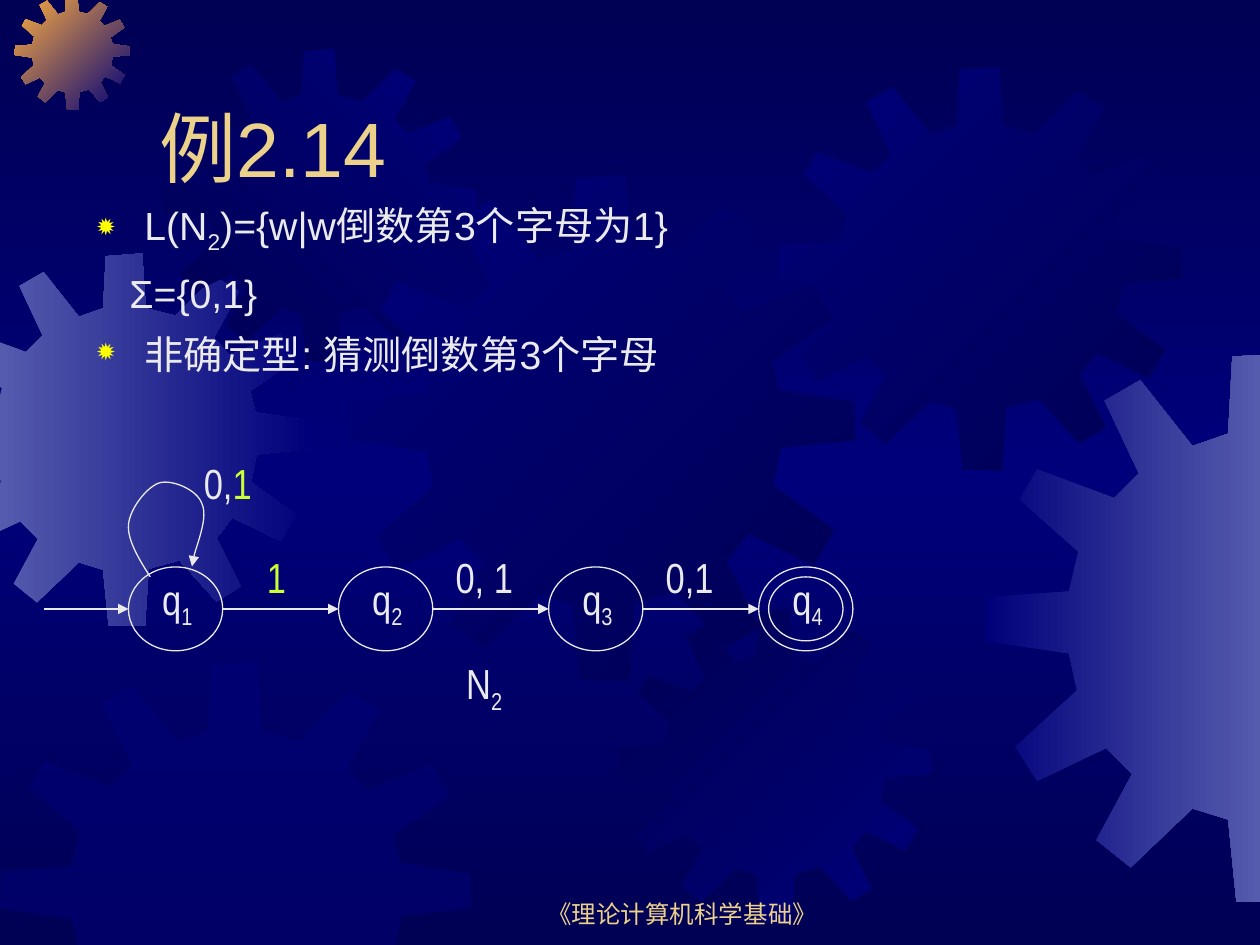
from copy import deepcopy
from dataclasses import dataclass

from lxml import etree
from pptx import Presentation
from pptx.dml.color import RGBColor
from pptx.enum.shapes import MSO_CONNECTOR, MSO_SHAPE
from pptx.enum.text import MSO_ANCHOR, PP_ALIGN
from pptx.oxml.ns import qn
from pptx.util import Cm, Pt

OVAL, STRAIGHT = MSO_SHAPE.OVAL, MSO_CONNECTOR.STRAIGHT
TOP, BOTTOM = MSO_ANCHOR.TOP, MSO_ANCHOR.BOTTOM
LEFT, CENTER = PP_ALIGN.LEFT, PP_ALIGN.CENTER


@dataclass(frozen=True)
class Theme:
    navy: str = "000054"
    blue: str = "00007A"
    haze: str = "555BAD"
    orange: str = "FCAB40"
    gold: str = "EBD189"
    text: str = "EAEAEA"
    lime: str = "CCFF33"
    bullet: str = "FFFF00"
    font: str = "Arial"
    narrow: str = "Arial Narrow"
    title_size: float = 44
    body_size: float = 22.4
    label_size: float = 24
    footer_size: float = 14
    line_width: float = 0.75


@dataclass(frozen=True)
class Box:
    """A region in centimetres."""
    x: float
    y: float
    w: float
    h: float

    def sub(self, x, y, w, h):
        return Box(self.x + x, self.y + y, w, h)

    def emu(self):
        return Cm(self.x), Cm(self.y), Cm(self.w), Cm(self.h)


T = Theme()
SLIDE_W, SLIDE_H = 25.4, 19.05
GEAR_UNITS = 401
GEAR = [
    (255, 67), (223, 59), (219, 0), (180, 3), (177, 59), (151, 68), (113, 20), (87, 35),
    (112, 88), (94, 106), (38, 85), (25, 107), (68, 145), (61, 174), (1, 178), (0, 210),
    (61, 219), (67, 246), (22, 287), (38, 312), (88, 288), (107, 307), (81, 355), (106, 375),
    (151, 332), (177, 340), (183, 400), (222, 401), (226, 339), (259, 330), (299, 374), (325, 358),
    (299, 306), (316, 284), (368, 309), (384, 281), (336, 246), (342, 216), (401, 210), (400, 180),
    (341, 171), (335, 148), (383, 114), (367, 87), (313, 109), (296, 91), (323, 41), (297, 25)]
# left, top, size, first colour, last colour, clockwise angle
GEARS = [
    (-1.24, 5.11, 7.52, T.haze, T.blue, 0),
    (0.3, -0.1, 2.31, T.orange, T.blue, 45),
    (3.3, 0.99, 6.3, T.navy, T.blue, 315),
    (7.04, 3.53, 10.2, T.blue, T.navy, 45),
    (0, 13.34, 9.5, T.blue, None, 0),
    (12.47, 12.29, 6.3, T.navy, T.blue, 45),
    (15.7, 1.35, 8.13, T.blue, T.navy, 45),
    (19.86, 7.11, 11.1, T.blue, T.haze, 0)]


def rgb(color):
    return RGBColor.from_string(color)


def set_gradient(fill, first, last, angle):
    fill.gradient()
    fill.gradient_angle = -angle % 360
    for stop, color in zip(fill.gradient_stops, (first, last)):
        stop.color.rgb = rgb(color)


def add_bullet(p):
    pPr = p._p.get_or_add_pPr()
    color = etree.SubElement(pPr, qn("a:buClr"))
    etree.SubElement(color, qn("a:srgbClr"), val=T.bullet)
    etree.SubElement(pPr, qn("a:buSzPct"), val="80000")
    etree.SubElement(pPr, qn("a:buChar"), char="✹")


def add_text(slide, box, runs, **fmt):
    """Add a text box with one paragraph of strings or (text, run format) pairs."""
    tf = slide.shapes.add_textbox(*box.emu()).text_frame
    tf.word_wrap = True
    tf.vertical_anchor = fmt.get("anchor", TOP)
    fill_paragraph(tf.paragraphs[0], runs, **fmt)
    return tf


def fill_paragraph(p, runs, size, color=T.text, font=T.font, align=LEFT, anchor=TOP):
    p.alignment = align
    for item in runs:
        text, own = (item, {}) if isinstance(item, str) else item
        r = p.add_run()
        r.text = text
        r.font.size, r.font.name = Pt(size), font
        r.font.color.rgb = rgb(own.get("color", color))
        if own.get("sub"):
            r.font._element.set("baseline", "-25000")


def clip(points, axis, limit, sign):
    """Keep the part of a polygon where sign * (coordinate - limit) >= 0."""
    kept = []
    for a, b in zip(points[-1:] + points[:-1], points):
        da, db = sign * (a[axis] - limit), sign * (b[axis] - limit)
        if (da >= 0) != (db >= 0):
            t = da / (da - db)
            kept.append(tuple(u + t * (v - u) for u, v in zip(a, b)))
        if db >= 0:
            kept.append(b)
    return kept


def add_outline(slide, points, close):
    pts = [(Cm(x), Cm(y)) for x, y in points]
    builder = slide.shapes.build_freeform(*pts[0])
    builder.add_line_segments(pts[1:], close=close)
    sp = builder.convert_to_shape()
    sp.shadow.inherit = False
    return sp


def add_gear(slide, area, left, top, size, first, last, angle):
    k = size / GEAR_UNITS
    points = [(area.x + left + x * k, area.y + top + y * k) for x, y in GEAR]
    for axis, low, high in ((0, area.x, area.x + area.w), (1, area.y, area.y + area.h)):
        points = clip(clip(points, axis, low, 1), axis, high, -1)
    sp = add_outline(slide, points, True)
    sp.line.fill.background()
    if last:
        set_gradient(sp.fill, first, last, angle)
    else:
        sp.fill.solid()
        sp.fill.fore_color.rgb = rgb(first)
        color = sp._element.spPr.find(".//" + qn("a:srgbClr"))
        etree.SubElement(color, qn("a:alpha"), val="50000")


def add_background(slide, area):
    fill = slide.background.fill
    set_gradient(fill, T.navy, T.navy, 90)
    stops = slide._element.find(".//" + qn("a:gsLst"))
    stops.insert(1, deepcopy(stops[0]))
    middle = fill.gradient_stops[1]
    middle.position, middle.color.rgb = 0.5, rgb(T.blue)
    for gear in GEARS:
        add_gear(slide, area, *gear)


def add_body(slide, box):
    lines = [
        (["L(N", ("2", {"sub": True}), ")={w|w倒数第3个字母为1}"], True),
        (["Σ={0,1}"], False),
        (["非确定型: 猜测倒数第3个字母"], True)]
    tf = add_text(slide, box, lines[0][0], size=T.body_size)
    for runs, _ in lines[1:]:
        p = tf.add_paragraph()
        p.space_before = Pt(8)
        fill_paragraph(p, runs, size=T.body_size)
    for p, (_, bulleted) in zip(tf.paragraphs, lines):
        pPr = p._p.get_or_add_pPr()
        pPr.set("marL", str(Cm(0.96 if bulleted else 0.66)))
        pPr.set("indent", str(Cm(-0.96 if bulleted else 0)))
        if bulleted:
            add_bullet(p)


def style_line(sp, arrow=False):
    sp.line.color.rgb, sp.line.width = rgb(T.text), Pt(T.line_width)
    if arrow:
        etree.SubElement(sp.line._get_or_add_ln(), qn("a:tailEnd"), type="triangle")


def add_ring(slide, box):
    sp = slide.shapes.add_shape(OVAL, *box.emu())
    sp.shadow.inherit = False
    sp.fill.background()
    style_line(sp)


def add_arrow(slide, x1, x2, y):
    line = slide.shapes.add_connector(STRAIGHT, Cm(x1), Cm(y), Cm(x2), Cm(y))
    style_line(line, arrow=True)
    etree.SubElement(line._element.spPr, qn("a:effectLst"))


def add_loop(slide, box):
    points = [(0.46, 1.96), (0.23, 1.6), (0, 1.22), (0.02, 0.91), (0.05, 0.58), (0.4, 0.13),
              (0.66, 0.06), (0.91, 0), (1.4, 0.2), (1.5, 0.48), (1.63, 0.76), (1.3, 1.55),
              (1.3, 1.75)]
    sp = add_outline(slide, [(box.x + x, box.y + y) for x, y in points], False)
    sp.fill.background()
    style_line(sp, arrow=True)
    curve = sp._element.find(".//" + qn("a:path"))
    segments = curve.findall(qn("a:lnTo"))
    for i in range(0, len(segments), 3):
        bezier = etree.SubElement(curve, qn("a:cubicBezTo"))
        for segment in segments[i:i + 3]:
            bezier.append(segment[0])
            curve.remove(segment)


def add_automaton(slide, box):
    first, pitch, top, w, h, inset = 1.7, 4.235, 2.34, 1.9, 1.69, 0.2
    middle = box.y + top + h / 2
    fmt = {"size": T.label_size, "font": T.narrow}
    lime = {"color": T.lime}
    labels = [(2.54, 1.27, ("1", lime)), (2.11, 1.7, "0, 1"), (2.11, 1.7, "0,1")]
    add_arrow(slide, box.x, box.x + first, middle)
    for i in range(4):
        node = box.sub(first + i * pitch, top, w, h)
        add_ring(slide, node)
        add_text(slide, node.sub(0.43, 0, 1.27, 1.42), ["q", (str(i + 1), {"sub": True})], **fmt)
        if i < len(labels):
            dx, width, label = labels[i]
            add_arrow(slide, node.x + w, node.x + pitch, middle)
            add_text(slide, node.sub(dx, -0.43, width, 1.27), [label], **fmt)
    add_ring(slide, node.sub(inset, inset, w - 2 * inset, h - 2 * inset))
    add_loop(slide, box.sub(1.68, 0.58, 1.63, 1.96))
    add_text(slide, box.sub(2.97, 0, 1.7, 1.27), ["0,", ("1", lime)], **fmt)
    add_text(slide, box.sub(8.26, 4.04, 1.27, 1.42), ["N", ("2", {"sub": True})], **fmt)


def main():
    prs = Presentation()
    prs.slide_width, prs.slide_height = Cm(SLIDE_W), Cm(SLIDE_H)
    slide = prs.slides.add_slide(prs.slide_layouts[6])
    add_background(slide, Box(0, 0, SLIDE_W, SLIDE_H))
    add_text(slide, Box(9.73, 17.58, 8.05, 1.27), ["《理论计算机科学基础》"],
             size=T.footer_size, color=T.gold, align=CENTER, anchor=BOTTOM)
    add_text(slide, Box(2.97, 0.84, 21.59, 3.18), ["例2.14"],
             size=T.title_size, color=T.gold, anchor=BOTTOM)
    add_body(slide, Box(1.7, 3.94, 21.59, 3.81))
    add_automaton(slide, Box(0.89, 9.09, 16.31, 5.46))
    prs.save("out.pptx")


if __name__ == "__main__":
    main()
